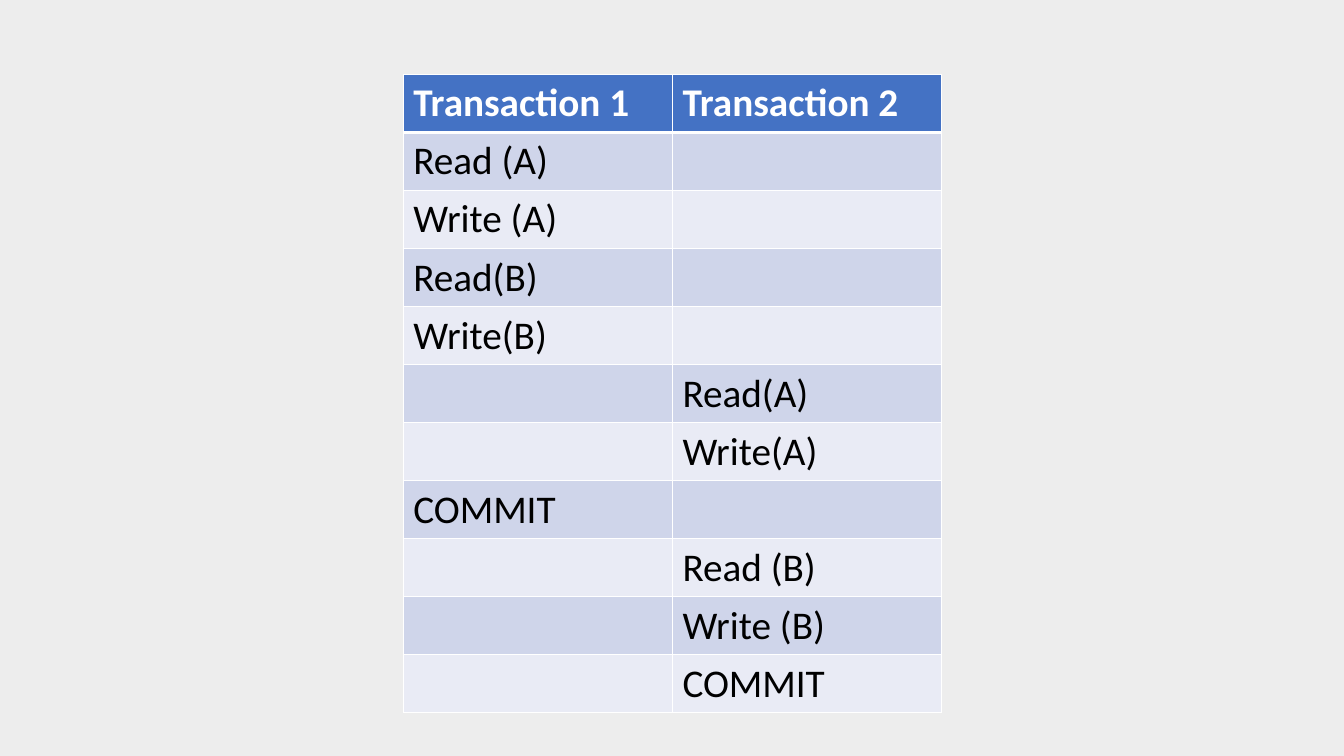
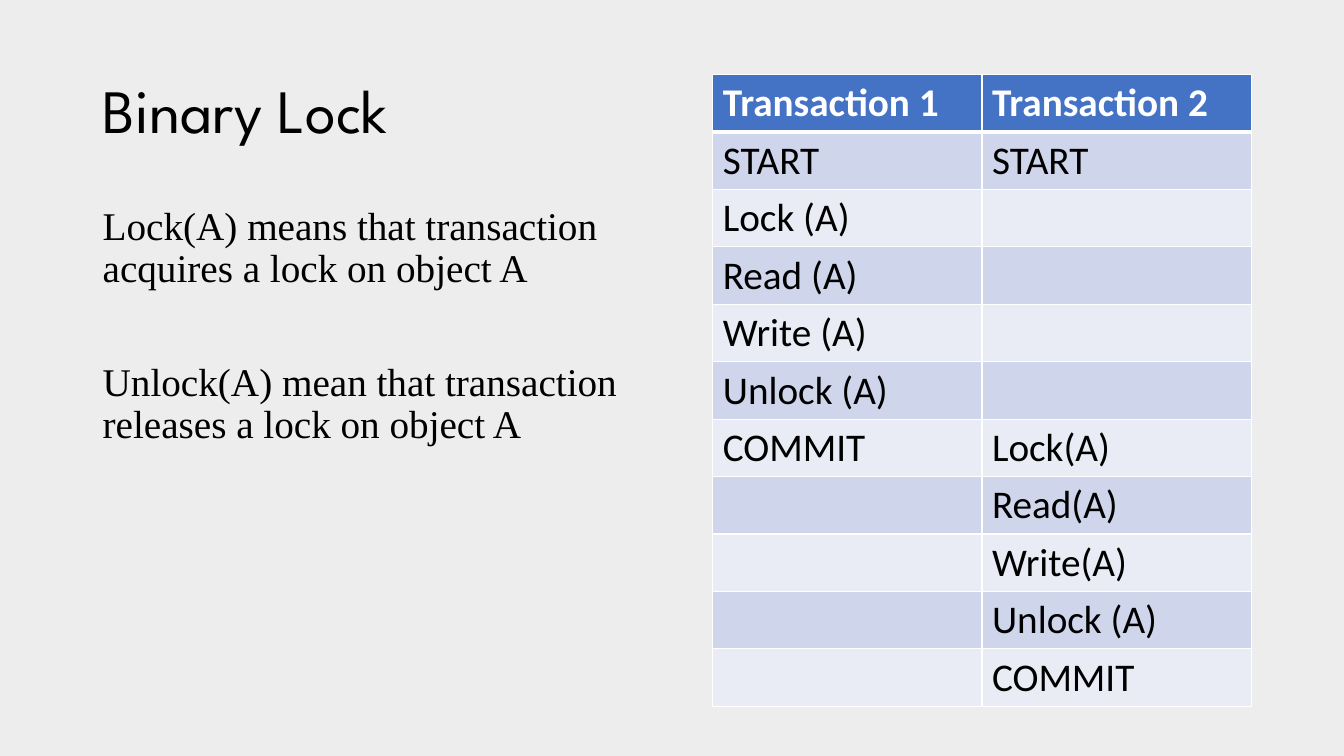
from dataclasses import dataclass

from lxml import etree
from pptx import Presentation
from pptx.dml.color import RGBColor
from pptx.enum import text as tx
from pptx.oxml import ns
from pptx.slide import Slide
from pptx.table import _Cell as Cell
from pptx.text.text import _Paragraph as Para
from pptx.util import Inches, Pt

PAPER = RGBColor(0xED, 0xED, 0xED)
BLUE = RGBColor(0x44, 0x72, 0xC4)
DARK = RGBColor(0xCF, 0xD5, 0xEA)
LIGHT = RGBColor(0xE9, 0xEB, 0xF5)
WHITE = RGBColor(0xFF, 0xFF, 0xFF)
BLACK = RGBColor(0, 0, 0)

HEADS = ("Transaction 1", "Transaction 2")
GRID_TOP, COL_WIDTH, ROW_HEIGHT = 0.74, 2.67, 0.57
THIN, THICK = 1, 3
LEADING = 0.9


@dataclass(frozen=True)
class Style:
    face: str
    size: int
    color: RGBColor = BLACK
    bold: bool = False


TITLE = Style("League Spartan", 44)
BODY = Style("Times New Roman", 28)
HEAD = Style("Calibri", 28, WHITE, True)
STEP = Style("Calibri", 28)


@dataclass(frozen=True)
class Table:
    left: float
    steps: tuple[tuple[str, str], ...]


SERIAL = Table(4, (
    ("Read (A)", ""),
    ("Write (A)", ""),
    ("Read(B)", ""),
    ("Write(B)", ""),
    ("", "Read(A)"),
    ("", "Write(A)"),
    ("COMMIT", ""),
    ("", "Read (B)"),
    ("", "Write (B)"),
    ("", "COMMIT"),
))
LOCKED = Table(7.07, (
    ("START", "START"),
    ("Lock (A)", ""),
    ("Read (A)", ""),
    ("Write (A)", ""),
    ("Unlock (A)", ""),
    ("COMMIT", "Lock(A)"),
    ("", "Read(A)"),
    ("", "Write(A)"),
    ("", "Unlock (A)"),
    ("", "COMMIT"),
))
NOTES = (
    "Lock(A) means that transaction acquires a lock on object A",
    "Unlock(A) mean that transaction releases a lock on object A",
)


def format_runs(para: Para, style: Style) -> None:
    for run in para.runs:
        font = run.font
        font.name, font.size, font.bold = style.face, Pt(style.size), style.bold
        font.color.rgb = style.color


def add_edges(cell: Cell, top: int, bottom: int) -> None:
    props = cell._tc.get_or_add_tcPr()
    for side, width in (("L", THIN), ("R", THIN), ("T", top), ("B", bottom)):
        line = etree.SubElement(props, ns.qn(f"a:ln{side}"), w=str(Pt(width)))
        fill = etree.SubElement(line, ns.qn("a:solidFill"))
        etree.SubElement(fill, ns.qn("a:srgbClr"), val=str(WHITE))


def draw_table(slide: Slide, table: Table) -> None:
    rows = (HEADS, *table.steps)
    grid = slide.shapes.add_table(
        len(rows), len(HEADS), Inches(table.left), Inches(GRID_TOP),
        Inches(COL_WIDTH * len(HEADS)), Inches(ROW_HEIGHT * len(rows))).table
    for r, row in enumerate(rows):
        for c, label in enumerate(row):
            cell = grid.cell(r, c)
            add_edges(cell, THICK if r == 1 else THIN, THICK if r == 0 else THIN)
            cell.fill.solid()
            cell.fill.fore_color.rgb = BLUE if r == 0 else (LIGHT, DARK)[r % 2]
            cell.text_frame.text = label
            format_runs(cell.text_frame.paragraphs[0], STEP if r else HEAD)


def draw_title(slide: Slide, words: str) -> None:
    title = slide.shapes.title
    title.left, title.top = Inches(0.92), Inches(0.4)
    title.width, title.height = Inches(11.5), Inches(1.45)
    frame = title.text_frame
    frame.text = words
    frame.vertical_anchor = tx.MSO_ANCHOR.MIDDLE
    para = frame.paragraphs[0]
    para.alignment = tx.PP_ALIGN.LEFT
    para.line_spacing = LEADING
    format_runs(para, TITLE)


def draw_notes(slide: Slide, notes: tuple[str, ...]) -> None:
    box = slide.shapes.add_textbox(Inches(0.92), Inches(2), Inches(5.75), Inches(4.76))
    frame = box.text_frame
    frame.word_wrap = True
    frame.text = "\n".join(notes)
    for i, para in enumerate(frame.paragraphs):
        para.line_spacing = LEADING
        para.space_before = Pt(51 if i else 0)
        format_runs(para, BODY)


def main() -> None:
    deck = Presentation()
    deck.slide_width, deck.slide_height = Inches(13.33), Inches(7.5)
    back = deck.slide_master.background.fill
    back.solid()
    back.fore_color.rgb = PAPER
    plain, titled = deck.slide_layouts[6], deck.slide_layouts[5]

    draw_table(deck.slides.add_slide(plain), SERIAL)

    slide = deck.slides.add_slide(titled)
    draw_title(slide, "Binary Lock")
    draw_notes(slide, NOTES)
    draw_table(slide, LOCKED)

    deck.save("out.pptx")


if __name__ == "__main__":
    main()
